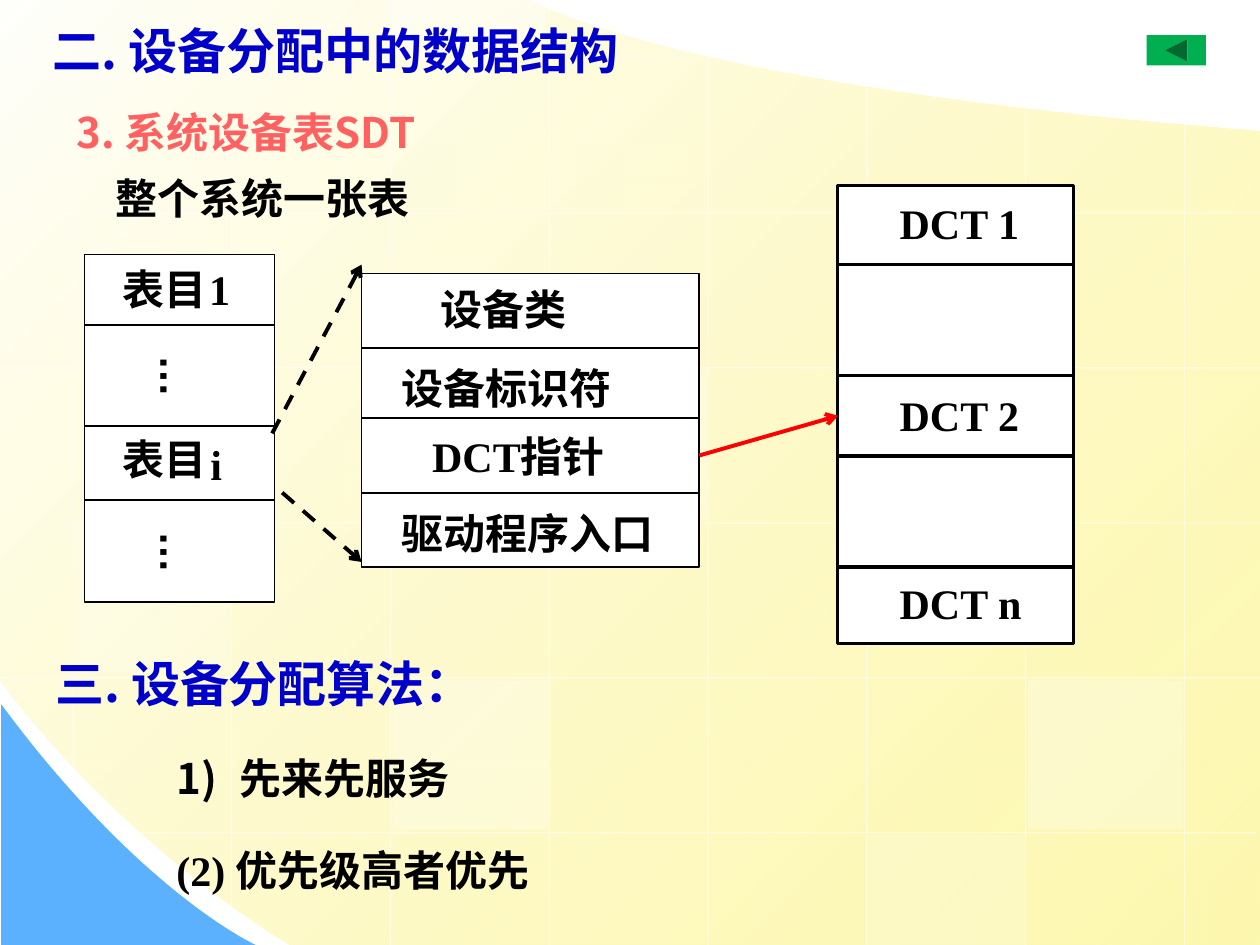
from lxml import etree
from pptx import Presentation
from pptx.dml.color import RGBColor
from pptx.enum.dml import MSO_LINE
from pptx.enum.shapes import MSO_CONNECTOR, MSO_SHAPE
from pptx.enum.text import MSO_ANCHOR, MSO_AUTO_SIZE, PP_ALIGN
from pptx.oxml.ns import qn
from pptx.util import Inches, Pt

STRAIGHT = MSO_CONNECTOR.STRAIGHT
RECTANGLE = MSO_SHAPE.RECTANGLE
BACK_BUTTON = MSO_SHAPE.ACTION_BUTTON_BACK_OR_PREVIOUS
DASH = MSO_LINE.DASH
TOP, LEFT, NO_FIT = MSO_ANCHOR.TOP, PP_ALIGN.LEFT, MSO_AUTO_SIZE.NONE
SANS, SERIF, ELLIPSIS_FONT = "Noto Sans CJK SC", "Times New Roman", "Arial"
WHITE, BLACK, BLUE, CORAL, RED = "FFFFFF", "000000", "0000CC", "FF6161", "FF0000"


def paint(color_format, color, alpha=None):
    """Set a hex colour on a colour format, with an optional opacity in percent."""
    color_format.rgb = RGBColor.from_string(color)


def set_opacity(element, percent):
    """Give every RGB colour inside an element the same opacity."""
    for color in element.iter(qn("a:srgbClr")):
        etree.SubElement(color, qn("a:alpha")).set("val", str(percent * 1000))


def write(frame, lines, font=SANS, size=24, color=BLACK, inset=True, wrap=False,
          line_spacing=None, gap=0):
    """Fill a text frame with one bold paragraph per (text, colour) or plain text line."""
    frame.word_wrap, frame.auto_size, frame.vertical_anchor = wrap, NO_FIT, TOP
    frame.margin_left = frame.margin_right = Inches(0.1 if inset else 0)
    frame.margin_top = frame.margin_bottom = Inches(0.05 if inset else 0)
    for index, line in enumerate(lines):
        paragraph = frame.add_paragraph() if index else frame.paragraphs[0]
        paragraph.alignment = LEFT
        paragraph.space_before = Pt(gap if index else 0)
        paragraph.line_spacing = line_spacing or 1.0
        run = paragraph.add_run()
        run.text = line
        run.font.size, run.font.bold, run.font.name = Pt(size), True, font
        paint(run.font.color, color)
        etree.SubElement(run.font._element, qn("a:ea")).set("typeface", SANS)
    return frame.paragraphs


def label(slide, text, left, top, width, height=0.4, rotation=0, **text_format):
    """Add a text box holding one or more lines."""
    box = slide.shapes.add_textbox(*map(Inches, (left, top, width, height)))
    box.rotation = rotation
    return write(box.text_frame, text.split("\n"), **text_format)


def indent(paragraph, margin, first=0):
    """Set the left margin and first-line indent of a paragraph."""
    properties = paragraph._p.get_or_add_pPr()
    properties.set("marL", str(Inches(margin)))
    properties.set("indent", str(Inches(first)))
    return properties


def block(slide, left, top, width, height, fill=WHITE, line_width=None, opacity=None,
          kind=RECTANGLE):
    """Add a flat filled shape, outlined in black when a line width is given."""
    shape = slide.shapes.add_shape(kind, *map(Inches, (left, top, width, height)))
    shape.shadow.inherit = False
    shape.fill.solid()
    paint(shape.fill.fore_color, fill)
    if opacity:
        set_opacity(shape.fill._xPr, opacity)
    if line_width:
        paint(shape.line.color, BLACK)
        shape.line.width = Pt(line_width)
    else:
        shape.line.fill.background()
    return shape


def stack(slide, left, width, edges, line_width):
    """Add a column of touching cells between successive vertical edges."""
    return [block(slide, left, top, width, bottom - top, line_width=line_width)
            for top, bottom in zip(edges, edges[1:])]


def connect(slide, start, end, color, width, dash=None, arrow=False, opacity=None):
    """Add a straight line, optionally dashed, translucent or with an arrowhead."""
    line = slide.shapes.add_connector(STRAIGHT, *map(Inches, (*start, *end)))
    paint(line.line.color, color)
    line.line.width = Pt(width)
    if dash:
        line.line.dash_style = dash
    outline = line.line._get_or_add_ln()
    if opacity:
        set_opacity(outline, opacity)
    if arrow:
        etree.SubElement(outline, qn("a:tailEnd")).set("type", "arrow")
    etree.SubElement(line._element.spPr, qn("a:effectLst"))
    return line


def curve(start, control_a, control_b, end, steps=40):
    """Return points along a cubic curve, without its start."""
    return [tuple((1 - t) ** 3 * a + 3 * t * (1 - t) ** 2 * b + 3 * t * t * (1 - t) * c + t ** 3 * d
                  for a, b, c, d in zip(start, control_a, control_b, end))
            for t in (step / steps for step in range(1, steps + 1))]


def outline_shape(slide, points):
    """Add a closed freeform without line or shadow."""
    corners = [tuple(map(Inches, point)) for point in points]
    builder = slide.shapes.build_freeform(*corners[0])
    builder.add_line_segments(corners[1:], close=True)
    shape = builder.convert_to_shape()
    shape.shadow.inherit = False
    shape.line.fill.background()
    return shape


def draw_backdrop(slide):
    """Draw the yellow field, the blue corner and the faint grid."""
    field = outline_shape(slide, [
        (10, 1.04), (10, 7.5), (2.3, 7.5),
        *curve((2.3, 7.5), (0.86, 6.61), (-0.01, 5.39), (0, 5.39)),
        (0, 0), (4.21, 0),
        *curve((4.21, 0), (4.21, 0.01), (5.37, 0.69), (10, 1.04))])
    field.fill.gradient()
    field.fill.gradient_angle = 315
    pale, yellow = field.fill.gradient_stops
    pale.position, yellow.position = 0, 1
    paint(pale.color, "FFFFFB")
    paint(yellow.color, "FDF58D")
    set_opacity(yellow._gs, 70)

    corner = outline_shape(slide, [
        (0.01, 5.59), (0.01, 7.5), (2.03, 7.5),
        *curve((2.03, 7.5), (2.03, 7.5), (1.12, 7.09), (0.01, 5.59))])
    corner.fill.solid()
    paint(corner.fill.fore_color, "5CB1FE")

    column_spans = [(0, 6.09), (0, 7.19), (0, 7.5), (0, 7.5),
                    (0.43, 7.5), (0.68, 7.5), (0.85, 7.5), (0.98, 7.5)]
    row_spans = [(0, 5.68), (0, 10), (0, 10), (0, 10), (0, 10), (1.11, 9.97)]
    grid = [((0.58 + 1.26 * i, top), (0.58 + 1.26 * i, bottom))
            for i, (top, bottom) in enumerate(column_spans)]
    grid += [((left, 0.46 + 1.23 * i), (right, 0.46 + 1.23 * i))
             for i, (left, right) in enumerate(row_spans)]
    for start, end in grid:
        connect(slide, start, end, WHITE, 0.75, opacity=50)
    for left, top, height, opacity in [
            (4.38, 2.94, 1.18, 25), (8.16, 5.4, 1.18, 30), (0.6, 4.16, 1.18, 20),
            (6.9, 6.63, 0.87, 20), (3.11, 0, 0.44, 40), (3.12, 5.4, 1.18, 30),
            (6.89, 1.71, 1.18, 30)]:
        block(slide, left, top, 1.23, height, opacity=opacity)


def place(slide, placeholder, left, top, width, height):
    """Position a placeholder and bring it in front of the backdrop."""
    placeholder.left, placeholder.top = Inches(left), Inches(top)
    placeholder.width, placeholder.height = Inches(width), Inches(height)
    slide.shapes._spTree.append(placeholder._element)
    return placeholder.text_frame


def draw_tables(slide):
    """Draw the system device table, one entry's fields and the DCT column."""
    stack(slide, 0.67, 1.51, [2.02, 2.58, 3.38, 3.97, 4.78], 1)
    for top, number, number_left, number_top in [(2.09, "1", 1.66, 2.09), (3.44, "i", 1.67, 3.48)]:
        label(slide, "表目", 0.97, top, 0.67, inset=False)
        label(slide, number, number_left, number_top, 0.17, font=SERIF, inset=False)
    for top in (2.79, 4.18):
        label(slide, "…", 1.24, top, 0.33, rotation=90, font=ELLIPSIS_FONT, inset=False)

    fields = stack(slide, 2.87, 2.68, [2.17, 2.76, 3.32, 3.91, 4.5], 1)
    for text, left, top, font in [("设备类", 3.5, 2.25, SANS), ("设备标识符", 3.19, 2.88, SANS),
                                  ("DCT指针", 3.43, 3.42, SERIF), ("驱动程序入口", 3.19, 4.03, SANS)]:
        label(slide, text, left, top, 2.2, font=font, inset=False)
    for start, end in [((2.16, 3.44), (2.87, 2.1)), ((2.24, 3.91), (2.87, 4.46))]:
        connect(slide, start, end, BLACK, 2.25, dash=DASH, arrow=True)

    controls = stack(slide, 6.65, 1.87, [1.47, 2.1, 2.98, 3.62, 4.5, 5.11], 1.75)
    for text, top in [("DCT 1", 1.57), ("DCT 2", 3.09), ("DCT n", 4.58)]:
        label(slide, text, 7.14, top, 0.97, font=SERIF, inset=False)
    pointer = connect(slide, (5.55, 3.61), (6.65, 3.3), RED, 2.25, arrow=True)
    pointer.begin_connect(fields[2], 3)
    pointer.end_connect(controls[2], 1)


def main():
    """Build the slide and save it."""
    deck = Presentation()
    deck.slide_width, deck.slide_height = Inches(10), Inches(7.5)
    slide = deck.slides.add_slide(deck.slide_layouts[1])
    draw_backdrop(slide)
    title = place(slide, slide.shapes.title, 0.32, 0.11, 4.96, 0.57)
    write(title, ["二. 设备分配中的数据结构"], size=28, color=BLUE)

    heading, scope = label(slide, "3. 系统设备表SDT\n整个系统一张表", 0.51, 0.68, 5.83, 1.14,
                           color=CORAL, wrap=True, line_spacing=1.3)
    paint(scope.runs[0].font.color, BLACK)
    indent(scope, 0.31)
    draw_tables(slide)

    label(slide, "三. 设备分配算法：", 0.34, 5.14, 4.62, 0.57, size=28, color=BLUE)
    algorithms = place(slide, slide.placeholders[1], 1.3, 5.92, 3.62, 1.3)
    first, second = write(algorithms, ["先来先服务", "(2) 优先级高者优先"],
                          font=SERIF, wrap=True, gap=24)
    numbering = indent(first, 0.5, -0.5)
    etree.SubElement(numbering, qn("a:buFont")).set("typeface", SANS)
    etree.SubElement(numbering, qn("a:buAutoNum")).set("type", "arabicParenR")
    etree.SubElement(indent(second, 0.5, -0.5), qn("a:buNone"))
    block(slide, 9.1, 0.28, 0.47, 0.24, fill="00B050", kind=BACK_BUTTON)
    deck.save("out.pptx")


if __name__ == "__main__":
    main()
